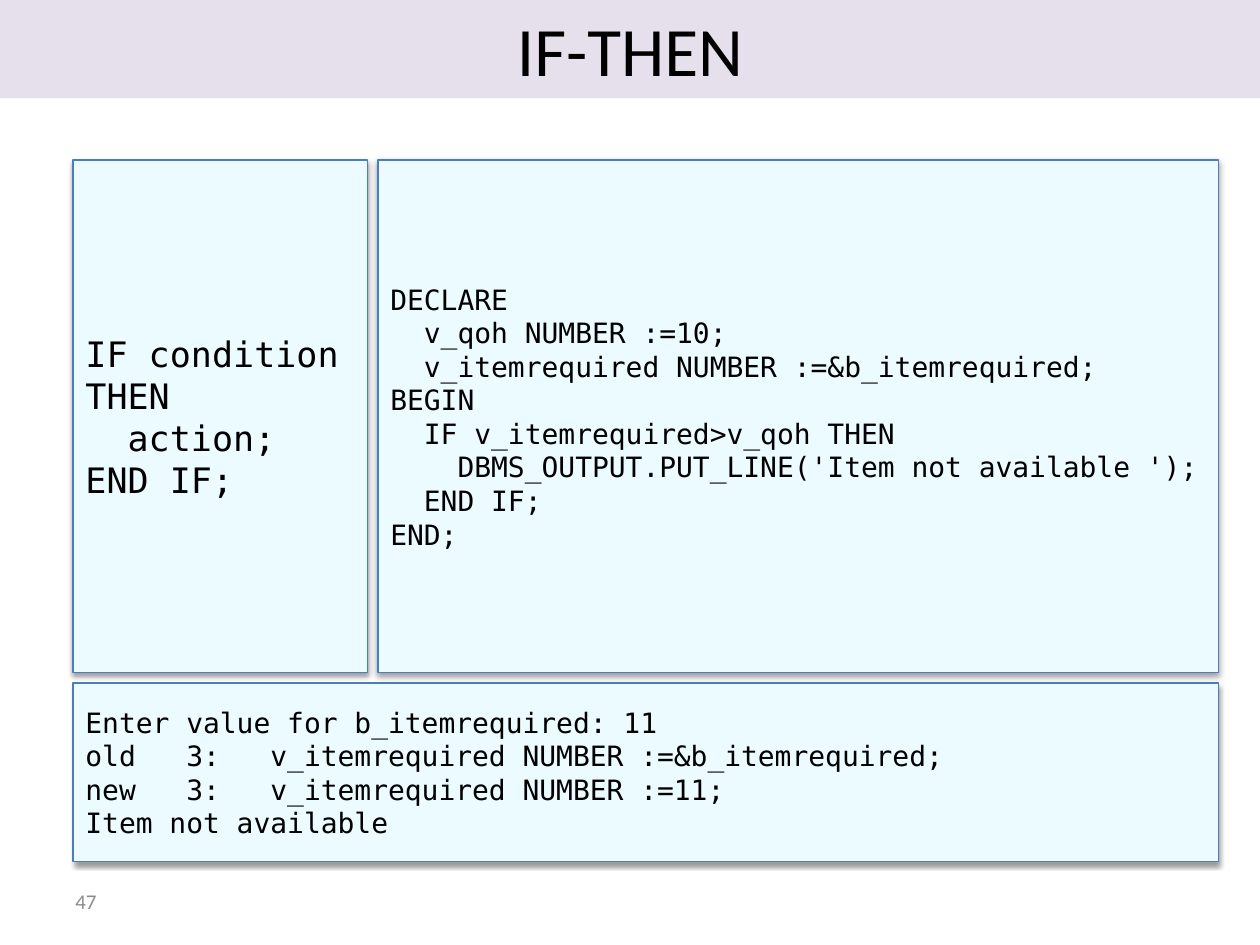
from lxml import etree
from pptx import Presentation
from pptx.dml.color import RGBColor
from pptx.enum.shapes import MSO_SHAPE
from pptx.enum.text import MSO_ANCHOR, PP_ALIGN
from pptx.oxml.ns import qn
from pptx.util import Inches, Pt

RECT = MSO_SHAPE.RECTANGLE
MIDDLE = MSO_ANCHOR.MIDDLE
LEFT, CENTER = PP_ALIGN.LEFT, PP_ALIGN.CENTER

COLORS = {
    "band": "E6E0EC",
    "panel": "EBFBFF",
    "border": "4B7EBC",
    "text": "000000",
    "number": "8C8C8C",
}
MONO, SANS = "DejaVu Sans Mono", "Calibri"

# Panel grid in inches: two columns over one full-width row
X1, X2, RIGHT = 0.58, 3.0, 9.67
Y1, Y2, BOTTOM = 1.27, 5.42, 6.84
GAP = 0.08

SYNTAX = """IF condition
THEN
  action;
END IF;"""
EXAMPLE = """DECLARE
  v_qoh NUMBER :=10;
  v_itemrequired NUMBER :=&b_itemrequired;
BEGIN
  IF v_itemrequired>v_qoh THEN
    DBMS_OUTPUT.PUT_LINE('Item not available ');
  END IF;
END;"""
OUTPUT = """Enter value for b_itemrequired: 11
old   3:   v_itemrequired NUMBER :=&b_itemrequired;
new   3:   v_itemrequired NUMBER :=11;
Item not available"""


def set_text(sp, text, size, font, color, align=LEFT):
    tf = sp.text_frame
    tf.word_wrap = True
    tf.vertical_anchor = MIDDLE
    tf.text = text
    for p in tf.paragraphs:
        p.alignment = align
        for r in p.runs:
            r.font.size = Pt(size)
            r.font.name = font
            r.font.color.rgb = RGBColor.from_string(COLORS[color])


def add_shadow(sp):
    """Give the shape a soft black shadow straight below it."""
    effects = sp._element.spPr.find(qn("a:effectLst"))
    shadow = etree.SubElement(effects, qn("a:outerShdw"), blurRad=str(Pt(3.1)),
                              dist=str(Pt(1.6)), dir="5400000", rotWithShape="0")
    color = etree.SubElement(shadow, qn("a:srgbClr"), val=COLORS["text"])
    etree.SubElement(color, qn("a:alpha"), val="38000")


prs = Presentation()
prs.slide_width, prs.slide_height = Inches(10), Inches(7.5)
s = prs.slides.add_slide(prs.slide_layouts[6])

# Title band
band = s.shapes.add_shape(RECT, 0, 0, prs.slide_width, Inches(0.78))
band.shadow.inherit = False
band.fill.solid()
band.fill.fore_color.rgb = RGBColor.from_string(COLORS["band"])
band.line.fill.background()
set_text(band, "IF-THEN", 39.6, SANS, "text", CENTER)

# Slide number
number = s.shapes.add_textbox(Inches(0.5), Inches(6.95), Inches(2.33), Inches(0.4))
set_text(number, "47", 12, SANS, "number")

# Code panels: left, top, right, bottom, text, size
panels = [
    (X1, Y1, X2 - GAP, Y2 - GAP, SYNTAX, 20),
    (X2, Y1, RIGHT, Y2 - GAP, EXAMPLE, 16),
    (X1, Y2, RIGHT, BOTTOM, OUTPUT, 16),
]
for left, top, right, bottom, code, size in panels:
    sp = s.shapes.add_shape(RECT, Inches(left), Inches(top),
                            Inches(right - left), Inches(bottom - top))
    sp.fill.solid()
    sp.fill.fore_color.rgb = RGBColor.from_string(COLORS["panel"])
    sp.line.color.rgb = RGBColor.from_string(COLORS["border"])
    sp.line.width = Pt(0.75)
    sp.shadow.inherit = False
    add_shadow(sp)
    set_text(sp, code, size, MONO, "text")

prs.save("out.pptx")
